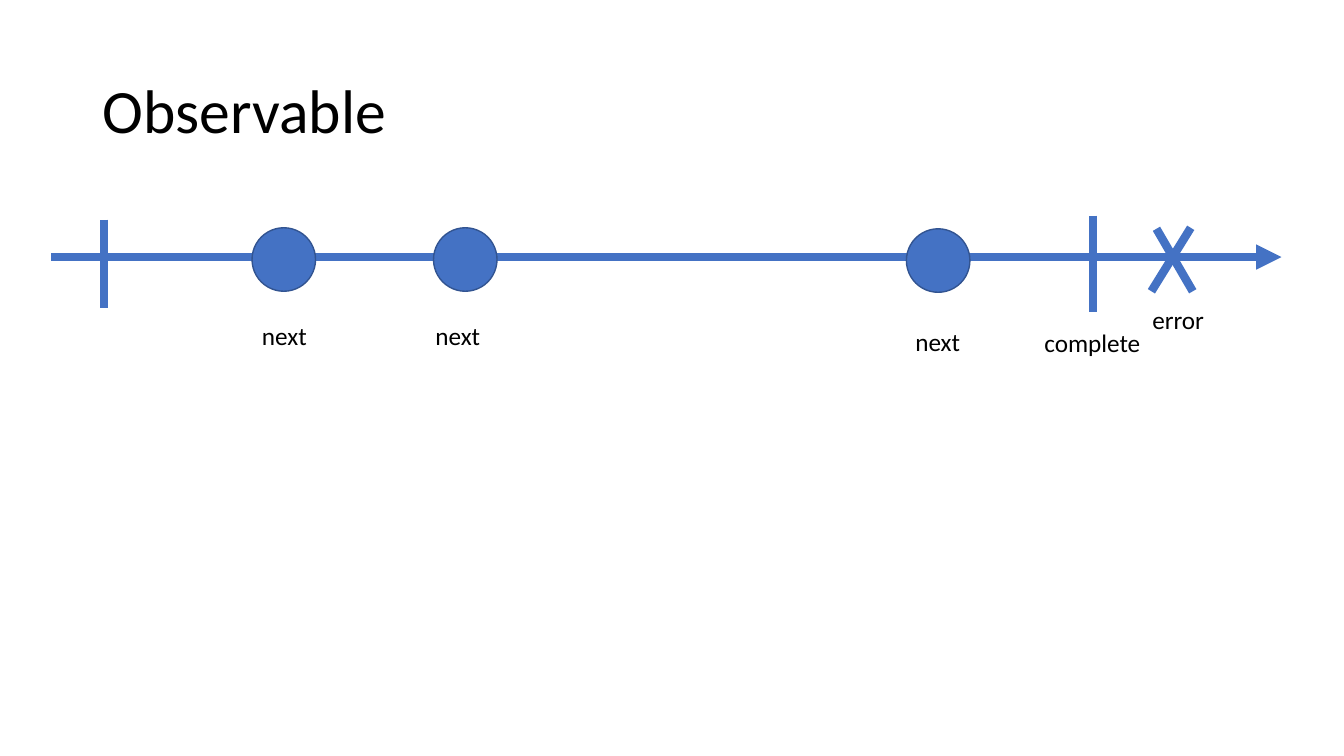
from dataclasses import dataclass
from lxml.etree import SubElement
from pptx import Presentation
from pptx.dml.color import RGBColor as Color
from pptx.enum.shapes import MSO_CONNECTOR as Link, MSO_SHAPE as Shape
from pptx.enum.text import MSO_ANCHOR as Anchor, MSO_AUTO_SIZE as Fit
from pptx.oxml.ns import qn
from pptx.util import Inches, Pt

TITLE = ("Observable", (0.92, 0.4, 11.5, 1.45))

# Each line: x and y of its start, then of its end
AXIS = (0.51, 2.55, 12.71, 2.55)
START = (1.03, 2.18, 1.03, 3.06)
END = (10.84, 2.14, 10.84, 3.1)
CROSS = [(11.47, 2.27, 11.83, 2.89), (11.81, 2.26, 11.42, 2.89)]

# Left and top of each dot
DOTS = [(2.5, 2.26), (4.3, 2.26), (8.99, 2.27)]
DOT = 0.63

# Word, left, top, width
LABELS = [
    ("next", 2.5, 3.13, 0.65),
    ("next", 4.22, 3.13, 0.65),
    ("next", 8.98, 3.19, 0.65),
    ("complete", 10.26, 3.2, 1.17),
    ("error", 11.33, 2.97, 0.72),
]
LABEL_H = 0.4


@dataclass(frozen=True)
class Theme:
    """Colours, type and line sizes of the slide."""
    font: str = "Calibri"
    ink: Color = Color.from_string("000000")
    blue: Color = Color.from_string("4472C4")
    edge: Color = Color.from_string("325491")
    title: int = 44
    label: int = 18
    thick: int = 6
    thin: int = 1


theme = Theme()


def add_line(slide, ends, arrow=False):
    """Draw a thick line, with an arrowhead at its end if asked."""
    line = slide.shapes.add_connector(Link.STRAIGHT, *map(Inches, ends))
    line.line.color.rgb = theme.blue
    line.line.width = Pt(theme.thick)
    if arrow:
        SubElement(line.line._get_or_add_ln(), qn("a:tailEnd"), type="triangle")
    SubElement(line._element.spPr, qn("a:effectLst"))


def add_dot(slide, left, top):
    """Draw the round mark of an emitted value."""
    dot = slide.shapes.add_shape(
        Shape.OVAL, *map(Inches, (left, top, DOT, DOT)))
    dot.shadow.inherit = False
    dot.fill.solid()
    dot.fill.fore_color.rgb = theme.blue
    dot.line.color.rgb = theme.edge
    dot.line.width = Pt(theme.thin)


def add_text(slide, words, box, size):
    """Place one run of text and return its frame."""
    frame = slide.shapes.add_textbox(*map(Inches, box)).text_frame
    run = frame.paragraphs[0].add_run()
    run.text = words
    run.font.name = theme.font
    run.font.size = Pt(size)
    run.font.color.rgb = theme.ink
    return frame


def add_title(slide):
    """Place the title, centred in the height of its box."""
    frame = add_text(slide, *TITLE, theme.title)
    frame.word_wrap = True
    frame.vertical_anchor = Anchor.MIDDLE
    frame.paragraphs[0].line_spacing = 0.9


def add_label(slide, word, left, top, width):
    """Place a label on one line."""
    frame = add_text(slide, word, (left, top, width, LABEL_H), theme.label)
    frame.word_wrap = False
    frame.auto_size = Fit.SHAPE_TO_FIT_TEXT


def main():
    """Build and save the slide."""
    deck = Presentation()
    deck.slide_width, deck.slide_height = Inches(13.33), Inches(7.5)
    slide = deck.slides.add_slide(deck.slide_layouts[6])
    add_title(slide)
    add_line(slide, AXIS, arrow=True)
    add_line(slide, START)
    for dot in DOTS:
        add_dot(slide, *dot)
    for ends in [END, *CROSS]:
        add_line(slide, ends)
    for label in LABELS:
        add_label(slide, *label)
    deck.save("out.pptx")


main()
